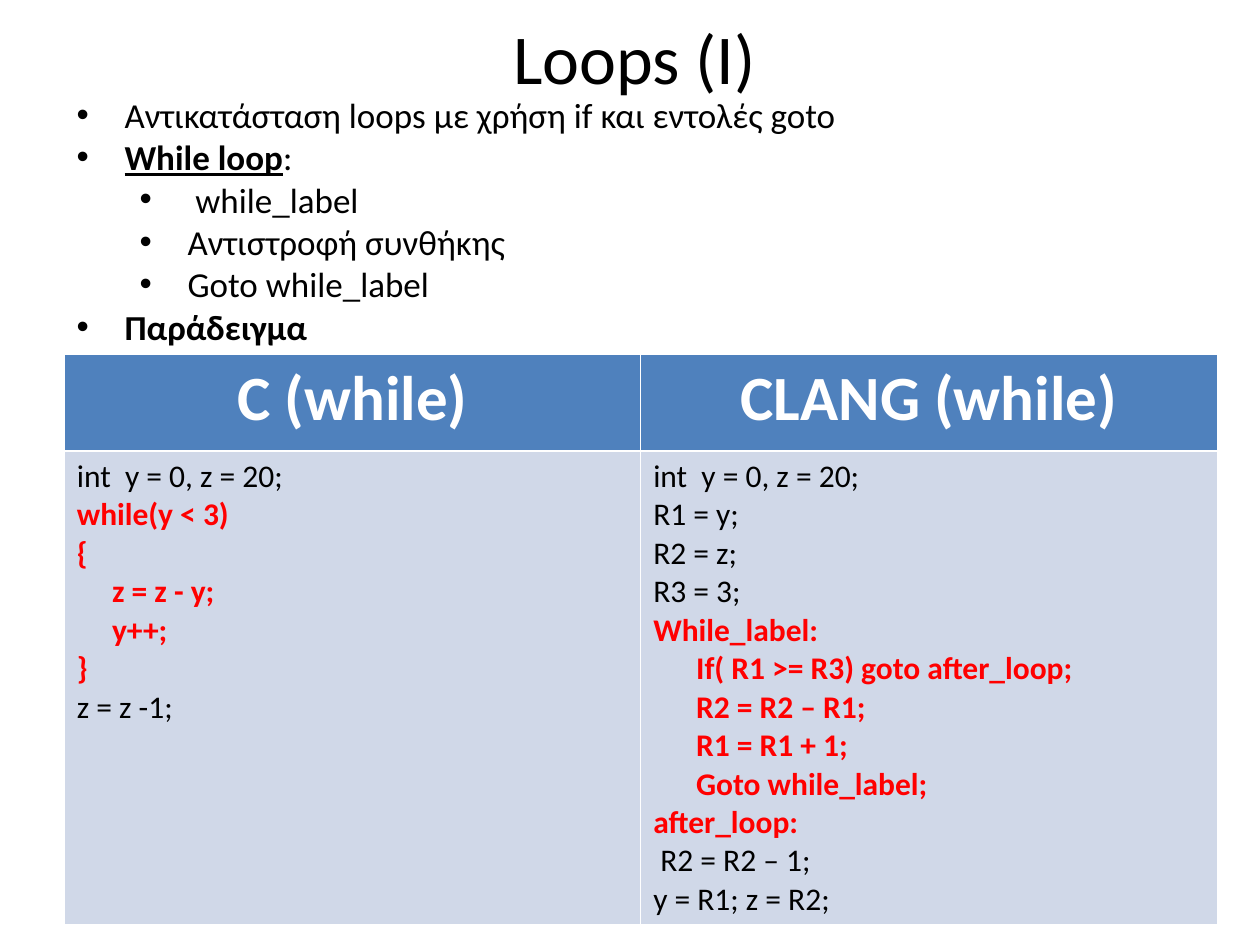
from dataclasses import dataclass

from lxml.etree import SubElement
from pptx import Presentation
from pptx.dml.color import RGBColor
from pptx.enum.text import MSO_ANCHOR, PP_ALIGN
from pptx.oxml.ns import qn
from pptx.util import Inches, Pt

WIDTH, HEIGHT = 10, 7.5


@dataclass(frozen=True)
class Theme:
    font: str = "Calibri"
    ink: str = "000000"
    accent: str = "FF0000"
    paper: str = "FFFFFF"
    header: str = "4F81BD"
    body: str = "D0D8E8"
    title_size: int = 40
    header_size: int = 36
    bullet_size: int = 20
    code_size: int = 18
    thin: float = 0.45
    thick: float = 1.47


THEME = Theme()

# Bullets: level, then runs of (text, format)
BULLETS = [
    (0, [("Αντικατάσταση loops με χρήση if και εντολές goto", {})]),
    (0, [("While loop", {"bold": True, "underline": True}), (":", {})]),
    (1, [(" while_label", {})]),
    (1, [("Αντιστροφή συνθήκης", {})]),
    (1, [("Goto while_label", {})]),
    (0, [("Παράδειγμα", {"bold": True})]),
]

# Code columns: heading, indent in inches, lines of (text, in loop, indented)
COLUMNS = [
    ("C (while)", 0.28, [
        ("int  y = 0, z = 20;", False, False),
        ("while(y < 3)", True, False),
        ("{", True, False),
        ("z = z - y;", True, True),
        ("y++;", True, True),
        ("}", True, False),
        ("z = z -1;", False, False),
    ]),
    ("CLANG (while)", 0.34, [
        ("int  y = 0, z = 20;", False, False),
        ("R1 = y;", False, False),
        ("R2 = z;", False, False),
        ("R3 = 3;", False, False),
        ("While_label:", True, False),
        ("If( R1 >= R3) goto after_loop;", True, True),
        ("R2 = R2 – R1;", True, True),
        ("R1 = R1 + 1;", True, True),
        ("Goto while_label;", True, True),
        ("after_loop:", True, False),
        (" R2 = R2 – 1;", False, False),
        ("y = R1; z = R2;", False, False),
    ]),
]


def to_emu(box):
    """Turn shares of the slide into lengths."""
    return [Inches(share * side) for share, side in zip(box, (WIDTH, HEIGHT) * 2)]


def add_text(paragraph, text, size, color=THEME.ink, bold=False, underline=False,
             align=PP_ALIGN.LEFT, indent=0, hanging=0):
    run = paragraph.add_run()
    run.text = text
    font = run.font
    font.name, font.size = THEME.font, Pt(size)
    font.bold, font.underline = bold, underline
    font.color.rgb = RGBColor.from_string(color)
    paragraph.alignment = align
    properties = paragraph._p.get_or_add_pPr()
    properties.set("marL", str(Inches(indent)))
    properties.set("indent", str(-Inches(hanging)))


def paragraphs(frame, count):
    """Yield the first paragraph of a frame, then new ones up to count."""
    yield frame.paragraphs[0]
    for _ in range(count - 1):
        yield frame.add_paragraph()


def add_frame(slide, box, anchor):
    frame = slide.shapes.add_textbox(*to_emu(box)).text_frame
    frame.word_wrap = True
    frame.vertical_anchor = anchor
    return frame


def add_title(slide, box):
    frame = add_frame(slide, box, MSO_ANCHOR.MIDDLE)
    add_text(frame.paragraphs[0], "Loops (Ι)", THEME.title_size, align=PP_ALIGN.CENTER)


def add_bullets(slide, box):
    frame = add_frame(slide, box, MSO_ANCHOR.TOP)
    for paragraph, (level, runs) in zip(paragraphs(frame, len(BULLETS)), BULLETS):
        paragraph.level = level
        paragraph.line_spacing = 0.8
        paragraph.space_before = Pt(5)
        for text, style in runs:
            add_text(paragraph, text, THEME.bullet_size, align=PP_ALIGN.JUSTIFY,
                     indent=0.38 + level * 0.5, hanging=0.38, **style)
        properties = paragraph._p.get_or_add_pPr()
        SubElement(properties, qn("a:buFont"), typeface="Arial")
        SubElement(properties, qn("a:buChar"), char="•")


def format_cell(cell, fill, top, bottom):
    # Borders come before the fill in the cell properties
    properties = cell._tc.get_or_add_tcPr()
    edges = {"lnL": THEME.thin, "lnR": THEME.thin, "lnT": top, "lnB": bottom}
    for edge, width in edges.items():
        line = SubElement(properties, qn(f"a:{edge}"), w=str(Pt(width)))
        SubElement(SubElement(line, qn("a:solidFill")), qn("a:srgbClr"), val=THEME.paper)
    cell.fill.solid()
    cell.fill.fore_color.rgb = RGBColor.from_string(fill)


def add_code_table(slide, box, header_share):
    left, top, width, height = to_emu(box)
    table = slide.shapes.add_table(2, len(COLUMNS), left, top, width, height).table
    table.rows[0].height = int(height * header_share)
    table.rows[1].height = height - table.rows[0].height

    for column, (heading, indent, lines) in enumerate(COLUMNS):
        # Heading
        cell = table.cell(0, column)
        format_cell(cell, THEME.header, THEME.thin, THEME.thick)
        add_text(cell.text_frame.paragraphs[0], heading, THEME.header_size,
                 color=THEME.paper, bold=True, align=PP_ALIGN.CENTER)

        # Code, with the loop picked out
        cell = table.cell(1, column)
        format_cell(cell, THEME.body, THEME.thick, THEME.thin)
        rows = paragraphs(cell.text_frame, len(lines))
        for paragraph, (text, in_loop, indented) in zip(rows, lines):
            add_text(paragraph, text, THEME.code_size, bold=in_loop,
                     color=THEME.accent if in_loop else THEME.ink,
                     indent=indent if indented else 0)


def main():
    presentation = Presentation()
    presentation.slide_width, presentation.slide_height = Inches(WIDTH), Inches(HEIGHT)
    slide = presentation.slides.add_slide(presentation.slide_layouts[6])
    add_title(slide, (0.035, 0.007, 0.937, 0.105))
    add_bullets(slide, (0.051, 0.101, 0.921, 0.284))
    add_code_table(slide, (0.051, 0.375, 0.915, 0.603), header_share=0.17)
    presentation.save("out.pptx")


if __name__ == "__main__":
    main()
